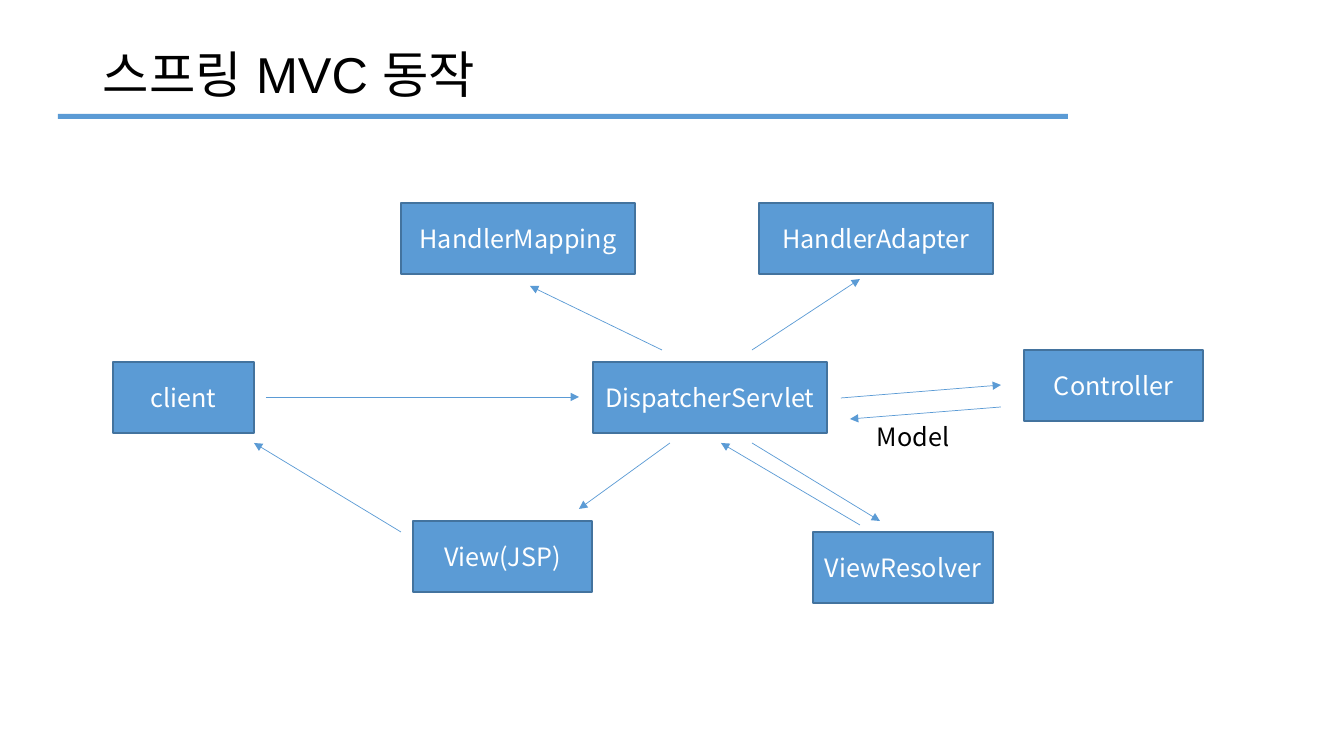
"""Build the Spring MVC request flow slide."""
from lxml import etree
from pptx import Presentation, util as u
from pptx.dml.color import RGBColor
from pptx.enum import shapes, text
from pptx.oxml.ns import qn

BLUE = RGBColor(0x5B, 0x9B, 0xD5)
EDGE = RGBColor(0x43, 0x73, 0x9E)
WHITE = RGBColor(0xFF, 0xFF, 0xFF)
BLACK = RGBColor(0, 0, 0)
BODY_FONT = "Noto Sans CJK KR"

TITLE = ("스프링 MVC 동작", (93, 40, 1159, 74))
RULE = (58, 114, 1010, 5)
MODEL = ("Model", (867, 416, 107, 40))
COMPONENT_HEIGHT = 71
COMPONENTS = [
    ("client", 113, 362, 141),
    ("DispatcherServlet", 593, 362, 234),
    ("HandlerMapping", 401, 203, 234),
    ("HandlerAdapter", 759, 203, 234),
    ("Controller", 1024, 350, 179),
    ("ViewResolver", 813, 532, 180),
    ("View(JSP)", 413, 521, 179),
]
CALLS = [
    ((266, 397), (579, 397)),
    ((662, 350), (530, 286)),
    ((752, 350), (860, 279)),
    ((841, 398), (1001, 385)),
    ((752, 443), (880, 521)),
    ((670, 443), (579, 509)),
    ((1001, 407), (850, 419)),
    ((860, 525), (721, 443)),
    ((401, 532), (254, 443)),
]


def px(*lengths):
    return [u.Emu(round(n * 914400 / 100.8)) for n in lengths]


def write(frame, words, anchor, paragraph_format, font_format):
    frame.word_wrap = True
    frame.vertical_anchor = anchor
    paragraph = frame.paragraphs[0]
    for name, value in paragraph_format.items():
        setattr(paragraph, name, value)
    run = paragraph.add_run()
    run.text = words
    color = font_format["color"]
    for name, value in font_format.items():
        if name != "color":
            setattr(run.font, name, value)
    run.font.color.rgb = color
    east_asian = etree.SubElement(run.font._element, qn("a:ea"))
    east_asian.set("typeface", font_format["name"])


def add_block(slide, area, edge=None):
    block = slide.shapes.add_shape(shapes.MSO_SHAPE.RECTANGLE, *px(*area))
    block.shadow.inherit = False
    block.fill.solid()
    block.fill.fore_color.rgb = BLUE
    if edge is None:
        block.line.fill.background()
    else:
        block.line.color.rgb = edge
        block.line.width = u.Pt(1)
    return block


def add_call(slide, start, end):
    call = slide.shapes.add_connector(
        shapes.MSO_CONNECTOR.STRAIGHT, *px(*start, *end))
    call.line.color.rgb = BLUE
    call.line.width = u.Pt(0.5)
    arrowhead = etree.SubElement(call.line._get_or_add_ln(), qn("a:tailEnd"))
    arrowhead.set("type", "triangle")
    etree.SubElement(call._element.spPr, qn("a:effectLst"))


def main():
    deck = Presentation()
    deck.slide_width, deck.slide_height = px(1344, 756)
    slide = deck.slides.add_slide(deck.slide_layouts[6])
    body = {"name": BODY_FONT, "size": u.Pt(18)}

    add_block(slide, RULE)
    heading, area = TITLE
    write(slide.shapes.add_textbox(*px(*area)).text_frame, heading,
          text.MSO_ANCHOR.MIDDLE, {"line_spacing": 0.9},
          {"name": "Arial", "size": u.Pt(36), "color": BLACK})
    for name, left, top, width in COMPONENTS:
        component = add_block(slide, (left, top, width, COMPONENT_HEIGHT), EDGE)
        write(component.text_frame, name, text.MSO_ANCHOR.MIDDLE,
              {"alignment": text.PP_ALIGN.CENTER}, {**body, "color": WHITE})
    for start, end in CALLS:
        add_call(slide, start, end)
    label, area = MODEL
    write(slide.shapes.add_textbox(*px(*area)).text_frame, label,
          text.MSO_ANCHOR.TOP, {}, {**body, "color": BLACK})
    deck.save("out.pptx")


if __name__ == "__main__":
    main()
